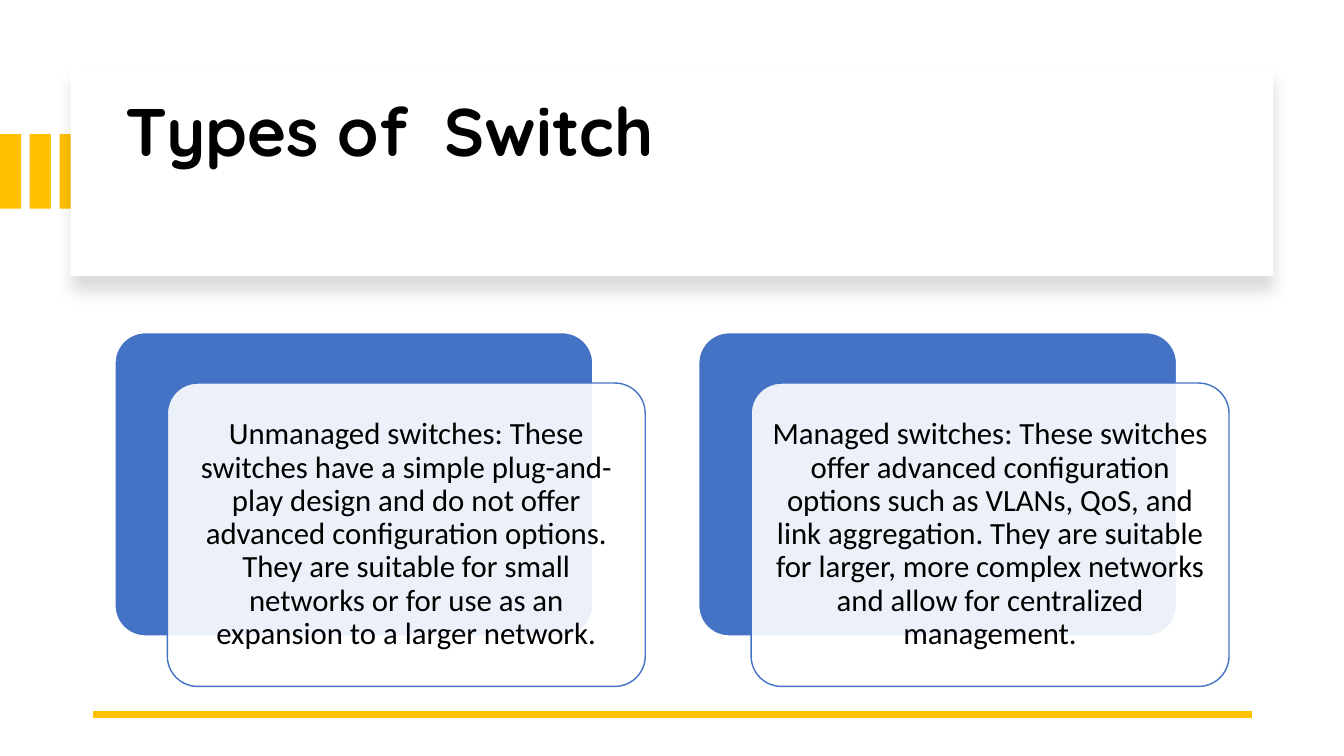
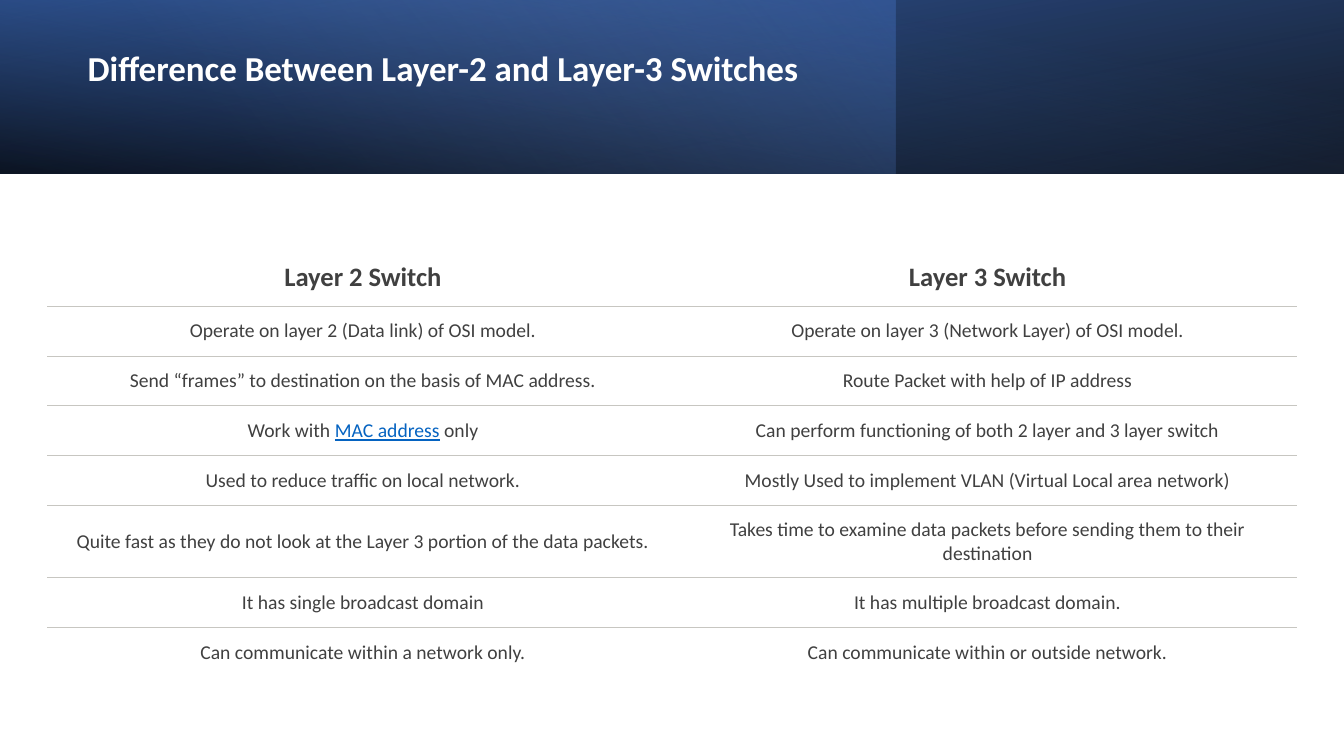
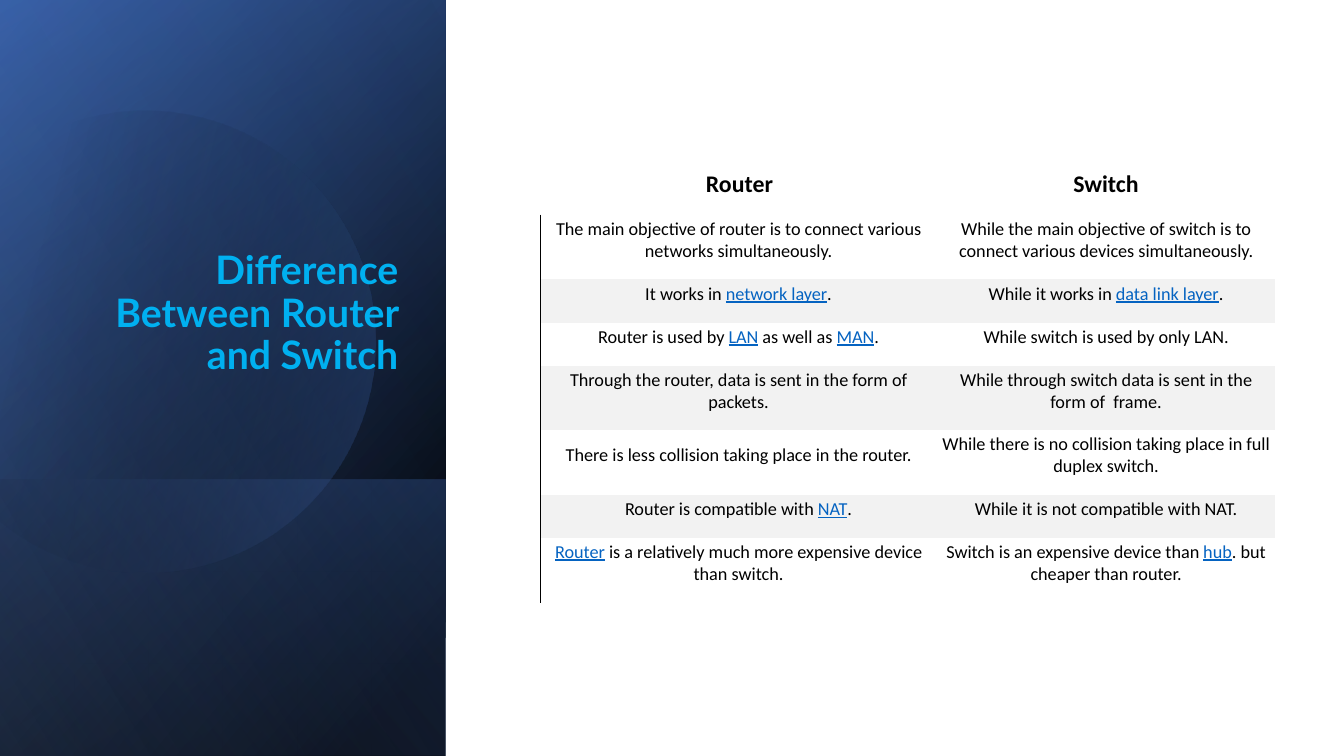
"""Build three slides that compare network switches and routers."""
import math

from lxml import etree
from pptx import Presentation
from pptx import util as u
from pptx.dml.color import RGBColor
from pptx.enum import shapes, text
from pptx.oxml.ns import qn

WIDTH, HEIGHT = 13.33, 7.5
COLOURS = {
    "black": "000000", "white": "FFFFFF", "gold": "FFC000", "blue": "4472C4",
    "navy": "2F5597", "pale": "8FAADC", "sky": "00B0F0", "link": "0563C1",
    "grey": "404040", "rule": "C7C6C1", "band": "F2F2F2",
}
PLAIN_TABLE = "{2D5ABB26-0587-4C30-8999-92F81FD0307C}"
RECT, ROUND = shapes.MSO_SHAPE.RECTANGLE, shapes.MSO_SHAPE.ROUNDED_RECTANGLE
MIDDLE, BOTTOM = text.MSO_ANCHOR.MIDDLE, text.MSO_ANCHOR.BOTTOM
LEFT, CENTER, RIGHT = text.PP_ALIGN.LEFT, text.PP_ALIGN.CENTER, text.PP_ALIGN.RIGHT

SWITCH_TYPES = [
    "Unmanaged switches: These switches have a simple plug-and-play design and do not "
    "offer advanced configuration options. They are suitable for small networks or for "
    "use as an expansion to a larger network.",
    "Managed switches: These switches offer advanced configuration options such as VLANs, "
    "QoS, and link aggregation. They are suitable for larger, more complex networks and "
    "allow for centralized management.",
]
LAYERS = [
    ("Layer 2 Switch", "Layer 3 Switch"),
    ("Operate on layer 2 (Data link) of OSI model.",
     "Operate on layer 3 (Network Layer) of OSI model."),
    ("Send “frames” to destination on the basis of MAC address.",
     "Route Packet with help of IP address"),
    ("Work with [MAC address] only",
     "Can perform functioning of both 2 layer and 3 layer switch"),
    ("Used to reduce traffic on local network.",
     "Mostly Used to implement VLAN (Virtual Local area network)"),
    ("Quite fast as they do not look at the Layer 3 portion of the data packets.",
     "Takes time to examine data packets before sending them to their destination"),
    ("It has single broadcast domain", "It has multiple broadcast domain."),
    ("Can communicate within a network only.",
     "Can communicate within or outside network."),
]
DEVICES = [
    ("Router", "Switch"),
    ("The main objective of router is to connect various networks simultaneously.",
     "While the main objective of switch is to connect various devices simultaneously."),
    ("It works in [network layer].", "While it works in [data link layer]."),
    ("Router is used by [LAN] as well as [MAN].", "While switch is used by only LAN."),
    ("Through the router, data is sent in the form of packets.",
     "While through switch data is sent in the form of  frame."),
    ("There is less collision taking place in the router.",
     "While there is no collision taking place in full duplex switch."),
    ("Router is compatible with [NAT].", "While it is not compatible with NAT."),
    ("[Router] is a relatively much more expensive device than switch.",
     "Switch is an expensive device than [hub]. but cheaper than router."),
]


def rgb(name):
    return RGBColor.from_string(COLOURS[name])


def inches(*lengths):
    return [u.Inches(length) for length in lengths]


def write(frame, content, size=14, font="Calibri", colour="black", bold=False,
          align=CENTER, anchor=MIDDLE, spacing=None, insets=None, box=None):
    """Fill a text frame or table cell; words in square brackets look like links."""
    box = box or frame
    box.vertical_anchor = anchor
    if insets:
        (box.margin_left, box.margin_top,
         box.margin_right, box.margin_bottom) = inches(*insets)
    paragraph = frame.paragraphs[0]
    paragraph.alignment = align
    if spacing:
        paragraph.line_spacing = spacing
    for index, part in enumerate(content.replace("]", "[").split("[")):
        if part:
            linked = index % 2 == 1
            run = paragraph.add_run()
            run.text = part
            run.font.size, run.font.name, run.font.bold = u.Pt(size), font, bold
            run.font.underline = linked
            run.font.color.rgb = rgb("link" if linked else colour)


def set_opacity(shape, percents):
    for colour, percent in zip(shape._element.spPr.iter(qn("a:srgbClr")), percents):
        etree.SubElement(colour, qn("a:alpha"), val=str(percent * 1000))


def finish(shape, rotation=0, flip=False, line=None):
    shape.shadow.inherit = False
    shape.rotation = rotation
    if flip:
        shape._element.spPr.find(qn("a:xfrm")).set("flipH", "1")
    if line:
        shape.line.color.rgb, shape.line.width = rgb(line), u.Pt(1)
    else:
        shape.line.fill.background()


def add_block(slide, area, fill, kind=RECT, opacity=100, line=None):
    shape = slide.shapes.add_shape(kind, *inches(*area))
    shape.fill.solid()
    shape.fill.fore_color.rgb = rgb(fill)
    if opacity < 100:
        set_opacity(shape, [opacity])
    finish(shape, line=line)
    return shape


def shade(shape, stops, angle, **placing):
    """Give a shape a two-stop gradient of (position, colour, opacity)."""
    shape.fill.gradient()
    shape.fill.gradient_angle = 360 - angle
    for stop, (position, colour, _) in zip(shape.fill.gradient_stops, stops):
        stop.position, stop.color.rgb = position / 100, rgb(colour)
    set_opacity(shape, [opacity for _, _, opacity in stops])
    finish(shape, **placing)


def add_shade(slide, area, stops, angle, **placing):
    shade(slide.shapes.add_shape(RECT, *inches(*area)), stops, angle, **placing)


def add_cut_circle(slide, center, radius, start, end):
    """Add a circle whose part outside the two angles is cut off by a chord."""
    corners = [inches(center[0] + radius * math.cos(math.radians(degree)),
                      center[1] + radius * math.sin(math.radians(degree)))
               for degree in (start, -90, 0, 90, end)]
    builder = slide.shapes.build_freeform(*corners[0], scale=1.0)
    builder.add_line_segments(corners[1:], close=True)
    shape = builder.convert_to_shape()
    outline = next(shape._element.spPr.iter(qn("a:path")))
    for segment in outline.findall(qn("a:lnTo")):
        outline.remove(segment)
    reach = str(u.Inches(radius))
    arc = etree.Element(qn("a:arcTo"), wR=reach, hR=reach,
                        stAng=str(start % 360 * 60000), swAng=str((end - start) * 60000))
    outline.insert(1, arc)
    return shape


def set_title(slide, content, area, room_below, **style):
    title = slide.shapes.title
    title.left, title.top, title.width, title.height = inches(*area)
    frame = title.text_frame
    frame.word_wrap, frame.auto_size = True, text.MSO_AUTO_SIZE.NONE
    write(frame, content, bold=True, spacing=0.9,
          insets=(0.1, 0.05, 0.1, room_below), **style)
    slide.shapes._spTree.append(title._element)


def add_border(cell, side, colour):
    properties = cell._tc.get_or_add_tcPr()
    border = etree.Element(qn(f"a:ln{side}"), w=str(u.Pt(0.75)))
    fill = etree.SubElement(border, qn("a:solidFill"))
    etree.SubElement(fill, qn("a:srgbClr"), val=COLOURS[colour])
    properties.insert(0, border)


def add_grid(slide, rows, corner, widths, heights, head_size, size, insets,
             colour, head_anchor=MIDDLE):
    """Add an unstyled table and return it."""
    frame = slide.shapes.add_table(len(rows), len(widths),
                                   *inches(*corner, sum(widths), sum(heights)))
    table = frame.table
    table.first_row = table.horz_banding = False
    table._tbl.tblPr.find(qn("a:tableStyleId")).text = PLAIN_TABLE
    for column, width in zip(table.columns, widths):
        column.width = u.Inches(width)
    for index, (row, height) in enumerate(zip(table.rows, heights)):
        row.height = u.Inches(height)
        head = index == 0
        for cell, content in zip(row.cells, rows[index]):
            cell.fill.background()
            write(cell.text_frame, content, size=head_size if head else size,
                  bold=head, colour=colour, insets=insets, box=cell,
                  anchor=head_anchor if head else MIDDLE)
    return table


def build_types(slide):
    for index in range(3):
        add_block(slide, (0.59 * index / 2, 1.33, 0.21, 0.74), "gold")
    card = add_block(slide, (0.7, 0.67, 11.93, 2.07), "white")
    effects = card._element.spPr.find(qn("a:effectLst"))
    shadow = etree.SubElement(effects, qn("a:outerShdw"), blurRad=str(u.Pt(11)),
                              dist=str(u.Pt(10)), dir=str(90 * 60000))
    tint = etree.SubElement(shadow, qn("a:srgbClr"), val=COLOURS["black"])
    etree.SubElement(tint, qn("a:alpha"), val="15000")
    set_title(slide, "Types of  Switch", (1.14, 0.89, 11.13, 1.7), 0.85,
              size=48, font="Quicksand", align=LEFT)

    rule = slide.shapes.add_connector(shapes.MSO_CONNECTOR.STRAIGHT,
                                      *inches(12.42, 7.09, 0.92, 7.09))
    rule.line.color.rgb, rule.line.width = rgb("gold"), u.Pt(4.5)
    etree.SubElement(rule._element.spPr, qn("a:effectLst"))

    width, height, pitch, inset = 4.74, 3.01, 5.79, 0.09
    for index, content in enumerate(SWITCH_TYPES):
        left, top = 1.14 + index * pitch, 3.3
        back = add_block(slide, (left, top, width, height), "blue", ROUND, line="white")
        left, top = left + 0.52, top + 0.5
        front = add_block(slide, (left, top, width, height),
                          "white", ROUND, opacity=90, line="blue")
        back.adjustments[0] = front.adjustments[0] = 0.1
        label = slide.shapes.add_textbox(*inches(left + inset, top + inset,
                                                 width - 2 * inset, height - 2 * inset))
        label.text_frame.word_wrap = True
        write(label.text_frame, content, size=22, spacing=0.9, insets=[inset] * 4)


def build_layers(slide):
    band = 1.72
    add_shade(slide, (0, 0, WIDTH, band), [(0, "black", 96), (100, "navy", 100)],
              100, rotation=180, flip=True)
    add_shade(slide, (0, 0, WIDTH * 2 / 3, band), [(0, "blue", 41), (74, "pale", 0)], 140)
    add_shade(slide, (0, 0, WIDTH, band), [(0, "black", 63), (78, "blue", 15)],
              260, flip=True)
    set_title(slide, "Difference Between Layer-2 and Layer-3 Switches",
              (0.77, 0.27, 7.72, 1.27), 0.47, size=25, colour="white", align=LEFT)
    head, tall, total = 0.58, 0.72, 4.26
    low = (total - head - tall) / 6
    table = add_grid(slide, LAYERS, (0.47, 2.46), (6.2, 6.19),
                     [head] + [low] * 4 + [tall] + [low] * 2,
                     19, 14, (0.22, 0.11, 0.16, 0.11), "grey")
    for row in list(table.rows)[:-1]:
        for cell in row.cells:
            add_border(cell, "B", "rule")


def build_devices(slide):
    panel = (-1.54, 1.54, HEIGHT, 4.42)
    turned = {"rotation": 90, "flip": True}
    add_shade(slide, panel, [(8, "black", 100), (100, "navy", 100)], 50, **turned)
    add_shade(slide, panel, [(0, "black", 0), (99, "blue", 46)], 30, **turned)
    add_shade(slide, (0.84, 3.92, 2.74, 4.42),
              [(2, "blue", 29), (100, "black", 30)], 130, **turned)
    disc = add_cut_circle(slide, (1.43, 3.35), 2.29, -118, 150)
    shade(disc, [(29, "black", 0), (100, "blue", 43)], 30, rotation=343.9)
    add_shade(slide, panel, [(0, "black", 0), (99, "pale", 11)], 120, **turned)
    set_title(slide, "Difference Between Router and Switch", (0.64, 1.84, 3.41, 2.62),
              0.71, size=28, font="Lato", colour="sky", align=RIGHT, anchor=BOTTOM)
    table = add_grid(slide, DEVICES, (5.36, 1.63), (3.91, 3.38),
                     (0.5, 0.64, 0.43, 0.43, 0.64, 0.64, 0.43, 0.64),
                     17, 13, (0.07, 0.02, 0.05, 0.16), "black", head_anchor=BOTTOM)
    table.cell(0, 0).margin_right = u.Inches(0.03)
    for index, row in enumerate(list(table.rows)[1:], 1):
        add_border(row.cells[0], "L", "black")
        if index % 2 == 0:
            for cell in row.cells:
                cell.fill.solid()
                cell.fill.fore_color.rgb = rgb("band")


def main():
    presentation = Presentation()
    presentation.slide_width, presentation.slide_height = inches(WIDTH, HEIGHT)
    title_only = presentation.slide_layouts[5]
    for build in (build_types, build_layers, build_devices):
        build(presentation.slides.add_slide(title_only))
    presentation.save("out.pptx")


if __name__ == "__main__":
    main()
